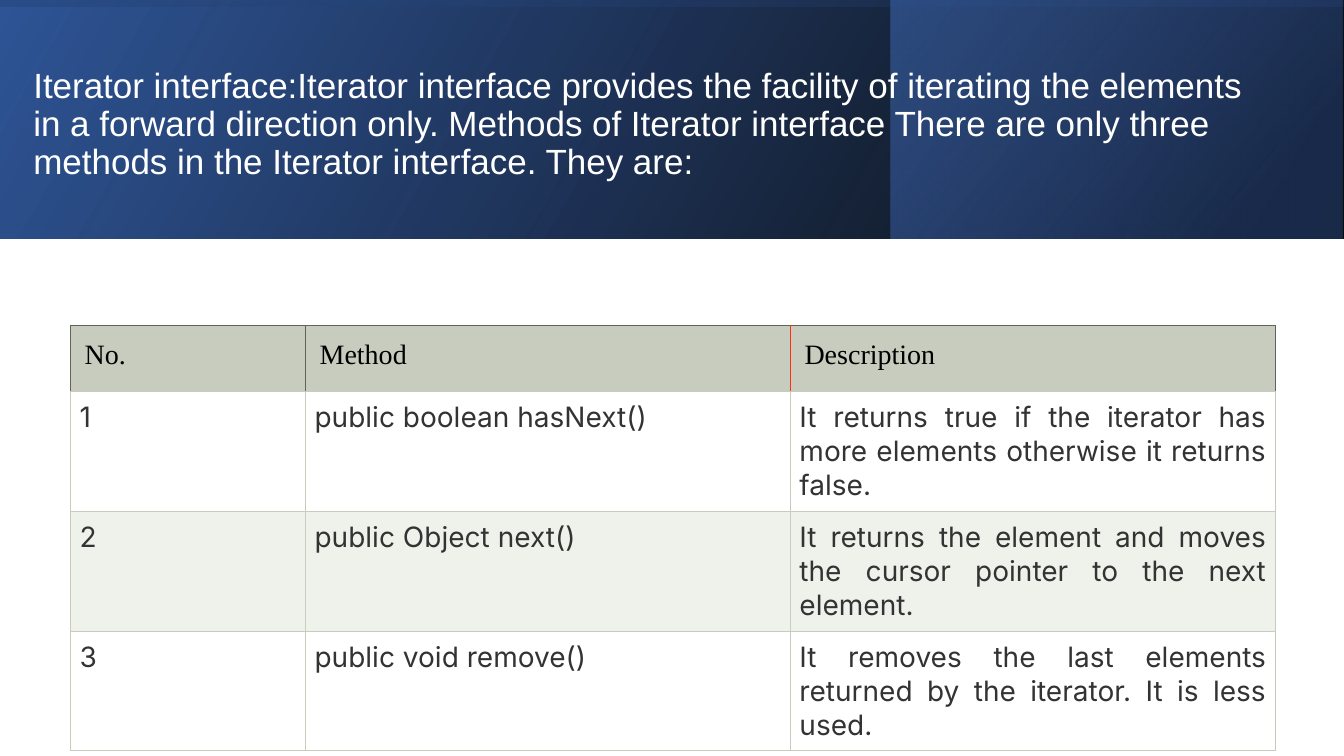
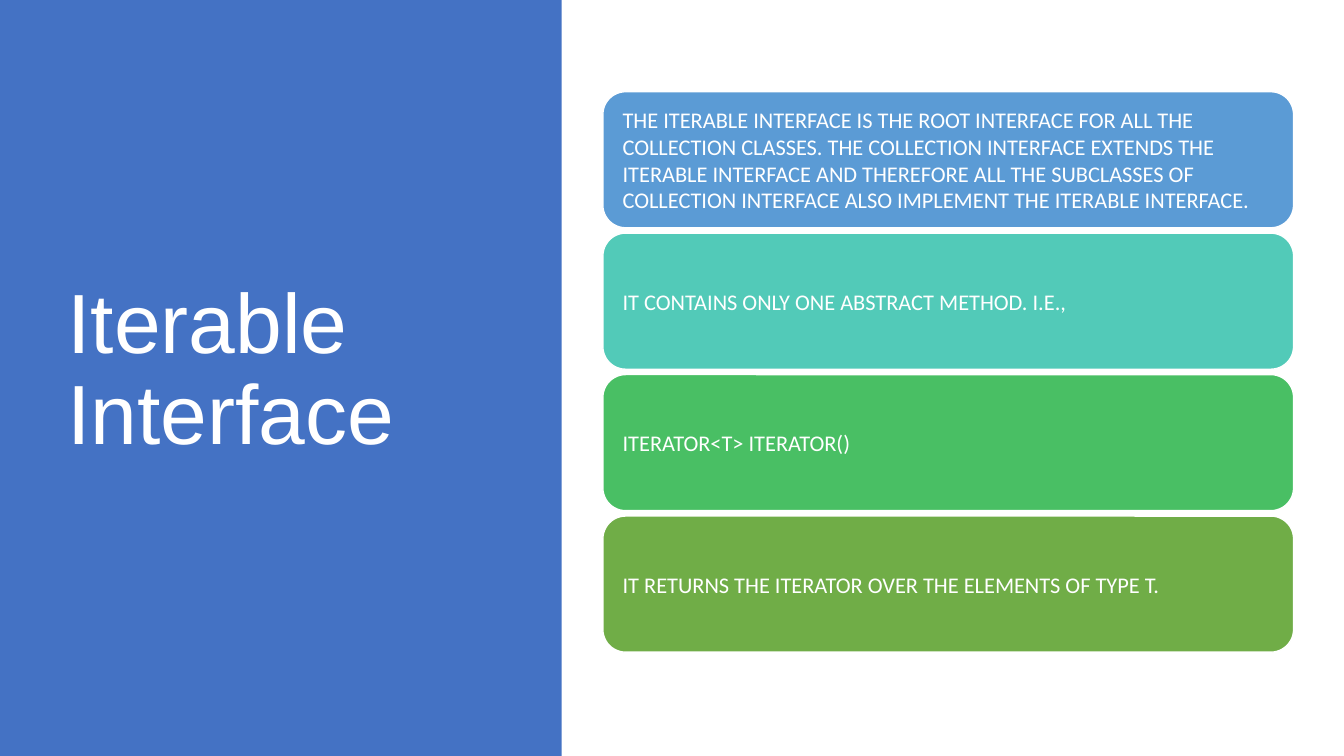
from lxml.etree import SubElement as Sub
from pptx import Presentation
from pptx.dml.color import RGBColor
from pptx.enum.shapes import MSO_SHAPE as Geo
from pptx.enum.text import MSO_ANCHOR as Anchor, MSO_AUTO_SIZE as Fit, PP_ALIGN as Align
from pptx.oxml import parse_xml
from pptx.oxml.ns import nsdecls, qn
from pptx.util import Inches, Pt

WHITE, BLACK, INK = "FFFFFF", "000000", "333333"
BLUE, NAVY, DEEP = "4472C4", "2F5597", "203864"
SAGE, PALE, MOSS, RED = "C7CCBE", "EFF1EB", "5F6358", "F8320A"


def hue(code):
    """Turn a hex string into a colour."""
    return RGBColor.from_string(code)


class Deck:
    """Slides drawn in shares (percent) of the slide's width and height."""

    def __init__(self, wide, high):
        """Start an empty deck of the given size in inches."""
        self.prs = Presentation()
        self.prs.slide_width, self.prs.slide_height = Inches(wide), Inches(high)

    def across(self, share):
        """Length of a share of the width."""
        return round(self.prs.slide_width * share / 100)

    def down(self, share):
        """Length of a share of the height."""
        return round(self.prs.slide_height * share / 100)

    def area(self, x, y, w, h):
        """Lengths of a box given in shares."""
        return self.across(x), self.down(y), self.across(w), self.down(h)

    def page(self):
        """Add a slide that has only a title."""
        self.slide = self.prs.slides.add_slide(self.prs.slide_layouts[5])

    def style(self, para, size, face, color, align=Align.LEFT):
        """Set the font and alignment of a paragraph."""
        para.alignment = align
        para.font.size, para.font.name = Pt(size), face
        para.font.color.rgb = hue(color)

    def title(self, text, box, size):
        """Fill the title and bring it to the front."""
        head = self.slide.shapes.title
        head.left, head.top, head.width, head.height = self.area(*box)
        head.element.getparent().append(head.element)
        frame = head.text_frame
        frame.text, frame.word_wrap = text, True
        frame.auto_size, frame.vertical_anchor = Fit.NONE, Anchor.MIDDLE
        para = frame.paragraphs[0]
        para.line_spacing = 0.9
        self.style(para, size, "Arial", WHITE)

    def shape(self, box, color, geo=Geo.RECTANGLE):
        """Add a flat filled shape."""
        item = self.slide.shapes.add_shape(geo, *self.area(*box))
        item.shadow.inherit = False
        item.fill.solid()
        item.fill.fore_color.rgb = hue(color)
        item.line.fill.background()
        return item

    def fade(self, box, stops, angle, turn=0):
        """Add a mirrored gradient band; a turned one still covers its box."""
        item = self.shape(box, WHITE)
        if turn:
            wide, high = item.width, item.height
            item.left += (wide - high) // 2
            item.top += (high - wide) // 2
            item.width, item.height, item.rotation = high, wide, turn
        props = item.element.spPr
        props.find(qn("a:xfrm")).set("flipH", "1")
        grad = parse_xml(f'<a:gradFill {nsdecls("a")} rotWithShape="1"/>')
        ramp = Sub(grad, qn("a:gsLst"))
        for pos, color, alpha in stops:
            stop = Sub(ramp, qn("a:gs"), pos=str(pos * 1000))
            tint = Sub(stop, qn("a:srgbClr"), val=color)
            Sub(tint, qn("a:alpha"), val=str(alpha * 1000))
        Sub(grad, qn("a:lin"), ang=str(angle * 60000), scaled="0")
        props.replace(props.find(qn("a:solidFill")), grad)

    def card(self, text, box, color):
        """Add a rounded card with its text."""
        item = self.shape(box, color, Geo.ROUNDED_RECTANGLE)
        item.line.color.rgb, item.line.width = hue(WHITE), Pt(1)
        frame = item.text_frame
        frame.text, frame.word_wrap = text, True
        frame.vertical_anchor = Anchor.MIDDLE
        frame.margin_left = frame.margin_right = Inches(0.13)
        self.style(frame.paragraphs[0], 16, "Calibri", WHITE)

    def cell(self, cell, text, fill, inset, edges):
        """Fill a table cell; edges are left, right, top and bottom colours."""
        props = cell._tc.get_or_add_tcPr()
        for side, color in zip("LRTB", edges):
            line = Sub(props, qn(f"a:ln{side}"), w=str(Pt(0.75)))
            Sub(Sub(line, qn("a:solidFill")), qn("a:srgbClr"), val=color)
        cell.fill.solid()
        cell.fill.fore_color.rgb = hue(fill)
        cell.margin_left = cell.margin_right = Inches(inset)
        cell.margin_top = cell.margin_bottom = Inches(inset)
        cell.text = text
        return cell.text_frame.paragraphs[0]

    def table(self, rows, box, cols, highs):
        """Add a table with a header row and striped body."""
        grid = self.slide.shapes.add_table(len(rows), len(cols), *self.area(*box)).table
        for col, share in zip(grid.columns, cols):
            col.width = self.across(share)
        for row, share in zip(grid.rows, highs):
            row.height = self.down(share)
        rules = [MOSS, MOSS, RED, MOSS]
        for r, row in enumerate(rows):
            for c, text in enumerate(row):
                spot = grid.cell(r, c)
                if r == 0:
                    edges = rules[c], rules[c + 1], MOSS, SAGE
                    para = self.cell(spot, text, SAGE, 0.14, edges)
                    self.style(para, 20, "Times New Roman", BLACK)
                else:
                    fill = WHITE if r % 2 else PALE
                    para = self.cell(spot, text, fill, 0.09, [SAGE] * 4)
                    self.style(para, 20, "Inter", INK, Align.JUSTIFY)


deck = Deck(13.33, 7.5)

deck.page()
band = (0, 0, 100, 31.6)
deck.fade(band, [(0, BLACK, 96), (100, NAVY, 100)], 330)
deck.fade((66.3, 0, 33.6, 31.6), [(19, DEEP, 68), (100, BLUE, 48)], 320)
deck.fade(band, [(23, NAVY, 16), (99, BLACK, 45)], 350, 270)
deck.title(
    "Iterator interface:Iterator interface provides the facility of iterating "
    "the elements in a forward direction only. Methods of Iterator interface "
    "There are only three methods in the Iterator interface. They are:",
    (1.73, 5.07, 93.17, 22.93), 25)
deck.table([
    ("No.", "Method", "Description"),
    ("1", "public boolean hasNext()",
     "It returns true if the iterator has more elements otherwise it returns false."),
    ("2", "public Object next()",
     "It returns the element and moves the cursor pointer to the next element."),
    ("3", "public void remove()",
     "It removes the last elements returned by the iterator. It is less used."),
], (5.25, 43.07, 89.64, 43.86), (17.48, 36.08, 36.08), [8.67] + [11.73] * 3)

deck.page()
deck.shape((0, 0, 41.79, 100), BLUE)
deck.title("Iterable Interface", (4.28, 9.07, 31.21, 80.27), 60)
cards = [
    ("THE ITERABLE INTERFACE IS THE ROOT INTERFACE FOR ALL THE COLLECTION CLASSES. "
     "THE COLLECTION INTERFACE EXTENDS THE ITERABLE INTERFACE AND THEREFORE ALL THE "
     "SUBCLASSES OF COLLECTION INTERFACE ALSO IMPLEMENT THE ITERABLE INTERFACE.", "5B9BD5"),
    ("IT CONTAINS ONLY ONE ABSTRACT METHOD. I.E.,", "52CAB8"),
    ("ITERATOR<T> ITERATOR()", "49BF64"),
    ("IT RETURNS THE ITERATOR OVER THE ELEMENTS OF TYPE T.", "70AD47"),
]
for n, (text, color) in enumerate(cards):
    deck.card(text, (44.86, 12.13 + 18.71 * n, 51.39, 18), color)

deck.prs.save("out.pptx")
